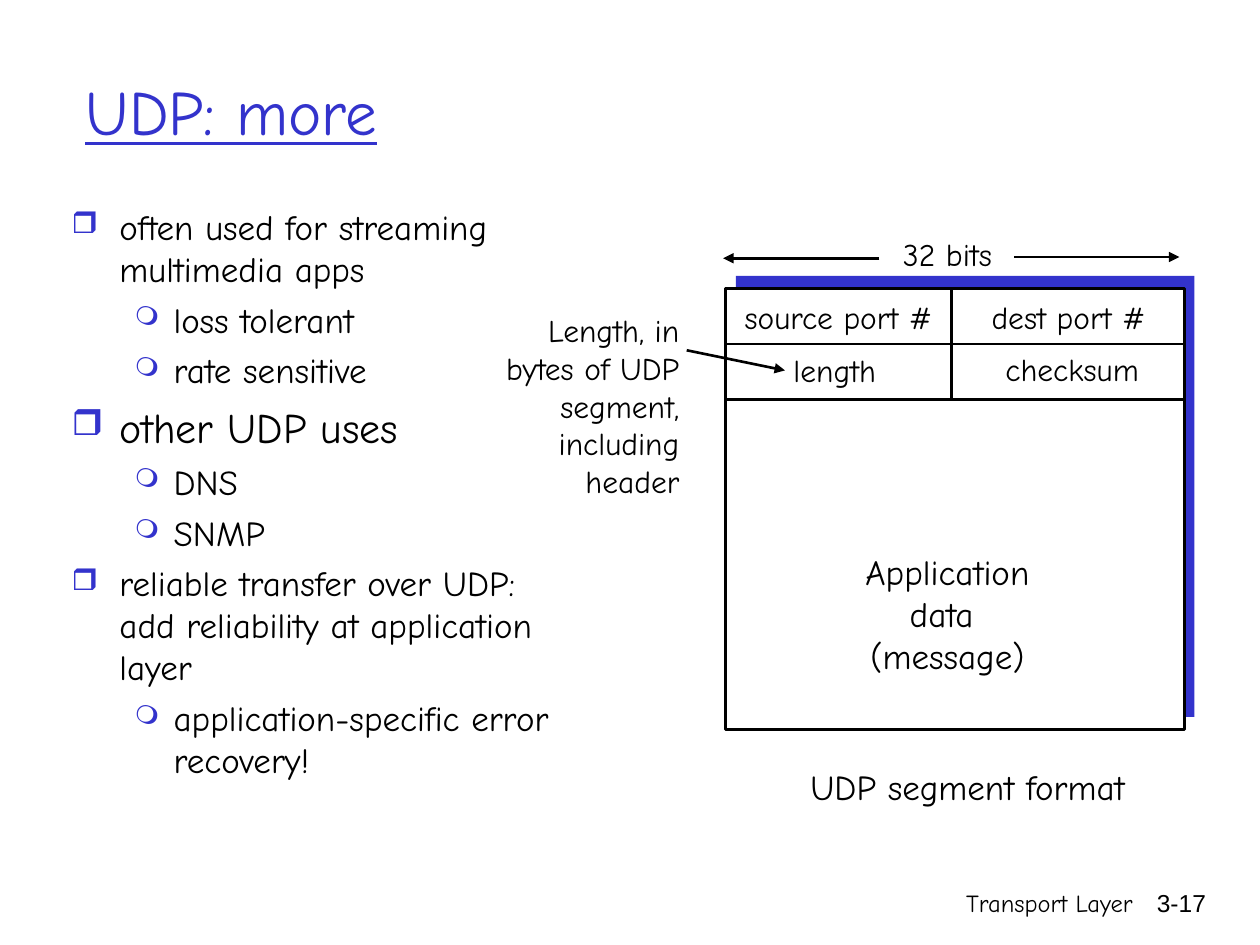
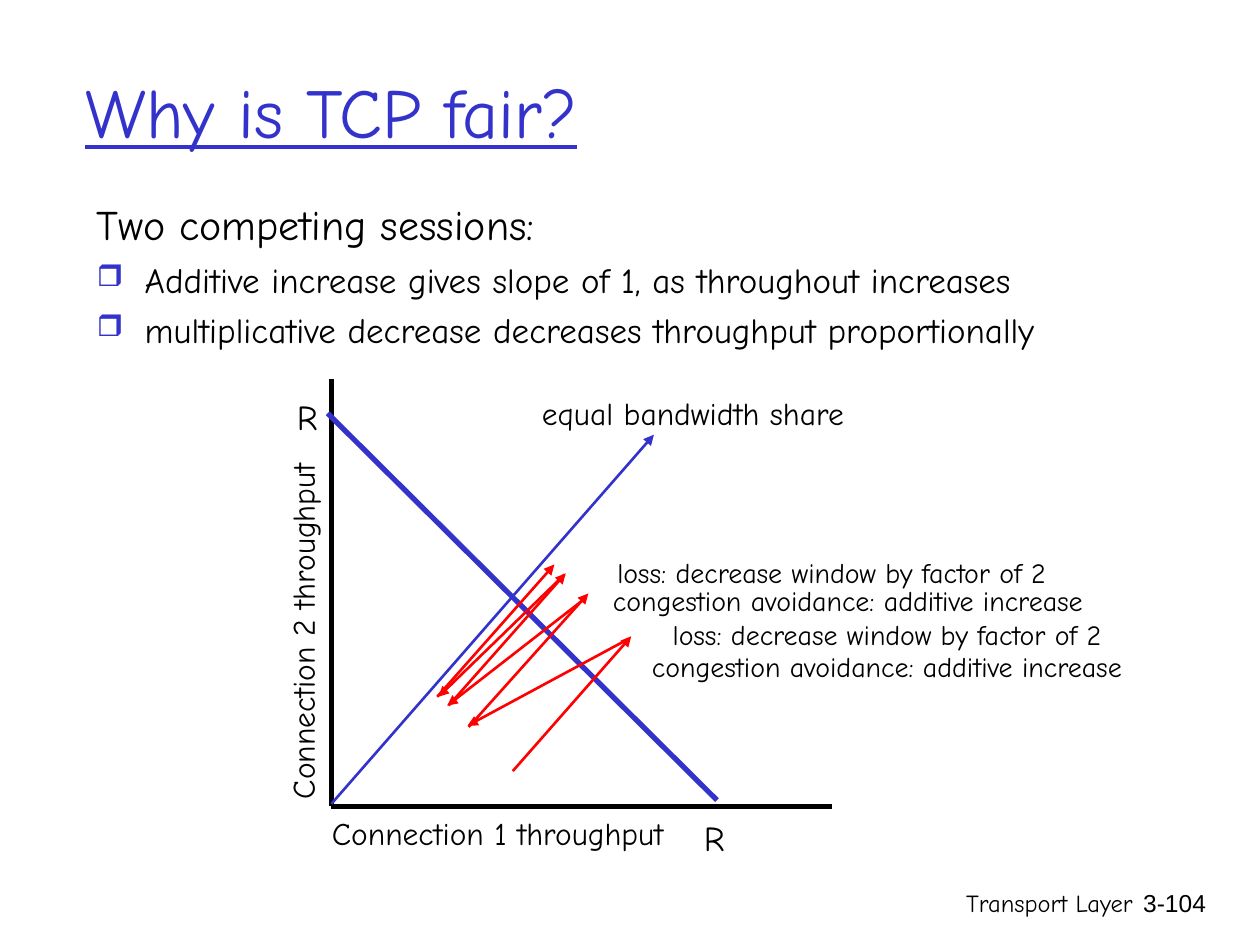
import pptx
import pptx.util
import pptx.dml.color
import pptx.enum.shapes
import pptx.enum.text
import pptx.oxml.ns
import lxml.etree

Inches = pptx.util.Inches
Pt = pptx.util.Pt
ALIGN = pptx.enum.text.PP_ALIGN

COLORS = {"ink": "000000", "blue": "3333CC", "red": "FF0000", "paper": "FFFFFF"}
FONT = "Comic Neue"
NUMBER_FONT = "Arial"
FOOTER = "Transport Layer"
BULLETS = {0: ("❒", 85, 0.38, -0.38), 1: ("❍", 75, 0.81, -0.31)}

UDP_BODY = [
    (0, "often used for streaming multimedia apps", 20),
    (1, "loss tolerant", 20),
    (1, "rate sensitive", 20),
    (0, "other UDP uses", 24),
    (1, "DNS", 20),
    (1, "SNMP", 20),
    (0, "reliable transfer over UDP: add reliability at application layer", 20),
    (1, "application-specific error recovery!", 20),
]
SEGMENT = (5.76, 2.29, 3.64, 3.5)
SEGMENT_SHADOW = (5.84, 2.19, 3.64, 3.5)
ROW_LINES = [2.73, 3.17]
COLUMN_LINE = 7.55
SEGMENT_LABELS = [
    ("source port #", (5.76, 2.32, 1.79, 0.4), 18),
    ("dest port #", (7.72, 2.32, 1.52, 0.4), 18),
    ("length", (6.12, 2.74, 1.01, 0.4), 18),
    ("checksum", (7.83, 2.73, 1.36, 0.4), 18),
    ("32 bits", (6.99, 1.82, 1.06, 0.4), 18),
    ("Application\ndata \n(message)", (6.72, 4.32, 1.6, 1.1), 20),
    ("UDP segment format", (6.28, 6.03, 2.8, 0.44), 20),
]
LENGTH_NOTE = "Length, in\nbytes of UDP\nsegment,\nincluding\nheader"
SEGMENT_ARROWS = [
    ((8.05, 2.04), (9.36, 2.04)),
    ((6.98, 2.05), (5.74, 2.05)),
    ((5.45, 2.78), (6.23, 2.94)),
]

TCP_BODY = [
    (None, "Two competing sessions:", 24),
    (0, "Additive increase gives slope of 1, as throughout increases", 20),
    (0, "multiplicative decrease decreases throughput proportionally", 20),
]
ORIGIN = (2.63, 6.4)
AXIS_ENDS = [(6.6, 6.4), (2.63, 3.01)]
FULL_USE = ((2.6, 3.28), (5.69, 6.35))
EQUAL_SHARE = ((2.63, 6.38), (5.19, 3.45))
WINDOW_STEPS = [
    ((4.07, 6.12), (5.01, 5.05)),
    ((4.99, 5.07), (3.71, 5.76)),
    ((3.72, 5.77), (4.67, 4.71)),
    ((4.63, 4.76), (3.55, 5.6)),
    ((3.56, 5.6), (4.49, 4.55)),
    ((4.48, 4.56), (3.48, 5.53)),
    ((3.47, 5.53), (4.4, 4.48)),
]
INCREASE = "congestion avoidance: additive increase"
DECREASE = "loss: decrease window by factor of 2"
GRAPH_LABELS = [
    ("R", (2.22, 3.09, 0.44, 0.44), 20, 0),
    ("R", (5.45, 6.43, 0.44, 0.44), 20, 0),
    ("equal bandwidth share", (3.56, 3.08, 3.88, 0.4), 18, 0),
    ("Connection 1 throughput", (2.01, 6.41, 3.88, 0.4), 18, 0),
    ("Connection 2 throughput", (0.46, 4.81, 3.88, 0.4), 18, 270),
    (INCREASE, (4.56, 5.11, 4.96, 0.37), 16, 0),
    (DECREASE, (5.18, 4.85, 3.72, 0.37), 16, 0),
    (INCREASE, (4.25, 4.58, 4.96, 0.37), 16, 0),
    (DECREASE, (4.74, 4.36, 3.72, 0.37), 16, 0),
]


def rgb(name):
    return pptx.dml.color.RGBColor.from_string(COLORS[name])


def add_child(parent, tag, **attributes):
    child = lxml.etree.SubElement(parent, pptx.oxml.ns.qn(tag))
    for key, value in attributes.items():
        child.set(key, str(value))
    return child


def add_bullet(para, level):
    symbol, percent, margin, indent = BULLETS[level]
    para.level = level
    properties = para._p.get_or_add_pPr()
    properties.set("marL", str(Inches(margin)))
    properties.set("indent", str(Inches(indent)))
    add_child(add_child(properties, "a:buClr"), "a:srgbClr", val=COLORS["blue"])
    add_child(properties, "a:buSzPct", val=percent * 1000)
    add_child(properties, "a:buChar", char=symbol)


def add_text(page, text, at, size=18, color="ink", font=FONT, align=ALIGN.CENTER,
             wrap=False, underline=False, middle=False, turn=0):
    box = page.shapes.add_textbox(*map(Inches, at))
    box.rotation = turn
    frame = box.text_frame
    frame.word_wrap = wrap
    if middle:
        frame.vertical_anchor = pptx.enum.text.MSO_ANCHOR.MIDDLE
    outline = not isinstance(text, str)
    items = text if outline else [(None, line, size) for line in text.split("\n")]
    for index, (level, words, points) in enumerate(items):
        para = frame.add_paragraph() if index else frame.paragraphs[0]
        para.alignment = align
        if outline:
            para.space_before = Pt(points / 4)
        if level is not None:
            add_bullet(para, level)
        span = para.add_run()
        span.text = words
        span.font.name = font
        span.font.size = Pt(points)
        span.font.color.rgb = rgb(color)
        if underline:
            span.font.underline = True


def add_line(page, start, end, color="ink", width=1.5, arrow=False):
    line = page.shapes.add_connector(
        pptx.enum.shapes.MSO_CONNECTOR.STRAIGHT, *map(Inches, start + end))
    line.line.color.rgb = rgb(color)
    line.line.width = Pt(width)
    if arrow:
        add_child(line.line._get_or_add_ln(), "a:tailEnd", type="triangle")
    add_child(line._element.spPr, "a:effectLst")


def add_rectangle(page, at, fill, border=None):
    shape = page.shapes.add_shape(
        pptx.enum.shapes.MSO_SHAPE.RECTANGLE, *map(Inches, at))
    shape.shadow.inherit = False
    shape.fill.solid()
    shape.fill.fore_color.rgb = rgb(fill)
    if border:
        shape.line.color.rgb = rgb(border)
        shape.line.width = Pt(1.5)
    else:
        shape.line.fill.background()


def add_page(deck, title, title_size, number, body, body_at):
    page = deck.slides.add_slide(deck.slide_layouts[6])
    add_text(page, FOOTER, (5.92, 7, 3.17, 0.5), size=14, align=ALIGN.RIGHT, wrap=True)
    add_text(page, number, (8.93, 7, 0.74, 0.5), size=14, font=NUMBER_FONT,
             align=ALIGN.RIGHT, wrap=True)
    add_text(page, title, (0.58, 0.25, 9.12, 1.25), size=title_size, color="blue",
             align=ALIGN.LEFT, wrap=True, underline=True, middle=True)
    add_text(page, body, body_at, align=ALIGN.LEFT, wrap=True)
    return page


def draw_segment(page):
    left, top, width, height = SEGMENT
    add_rectangle(page, SEGMENT_SHADOW, "blue")
    add_rectangle(page, SEGMENT, "paper", border="ink")
    for row in ROW_LINES:
        add_line(page, (left, row), (left + width, row))
    add_line(page, (COLUMN_LINE, top), (COLUMN_LINE, ROW_LINES[-1]))
    for text, at, size in SEGMENT_LABELS:
        add_text(page, text, at, size=size)
    add_text(page, LENGTH_NOTE, (3.81, 2.42, 1.68, 1.6), align=ALIGN.RIGHT, wrap=True)
    for start, end in SEGMENT_ARROWS:
        add_line(page, start, end, arrow=True)


def draw_fairness_graph(page):
    for end in AXIS_ENDS:
        add_line(page, ORIGIN, end, width=3)
    add_line(page, *EQUAL_SHARE, color="blue", arrow=True)
    add_line(page, *FULL_USE, color="blue", width=3)
    for text, at, size, turn in GRAPH_LABELS:
        add_text(page, text, at, size=size, turn=turn)
    for start, end in WINDOW_STEPS:
        add_line(page, start, end, color="red", arrow=True)


def main():
    deck = pptx.Presentation()
    deck.slide_width, deck.slide_height = Inches(10), Inches(7.5)
    draw_segment(add_page(deck, "UDP: more", 36, "3-17", UDP_BODY,
                          (0.47, 1.58, 4.17, 5.08)))
    draw_fairness_graph(add_page(deck, "Why is TCP fair?", 40, "3-104", TCP_BODY,
                                 (0.67, 1.53, 9.08, 5.08)))
    deck.save("out.pptx")


if __name__ == "__main__":
    main()
